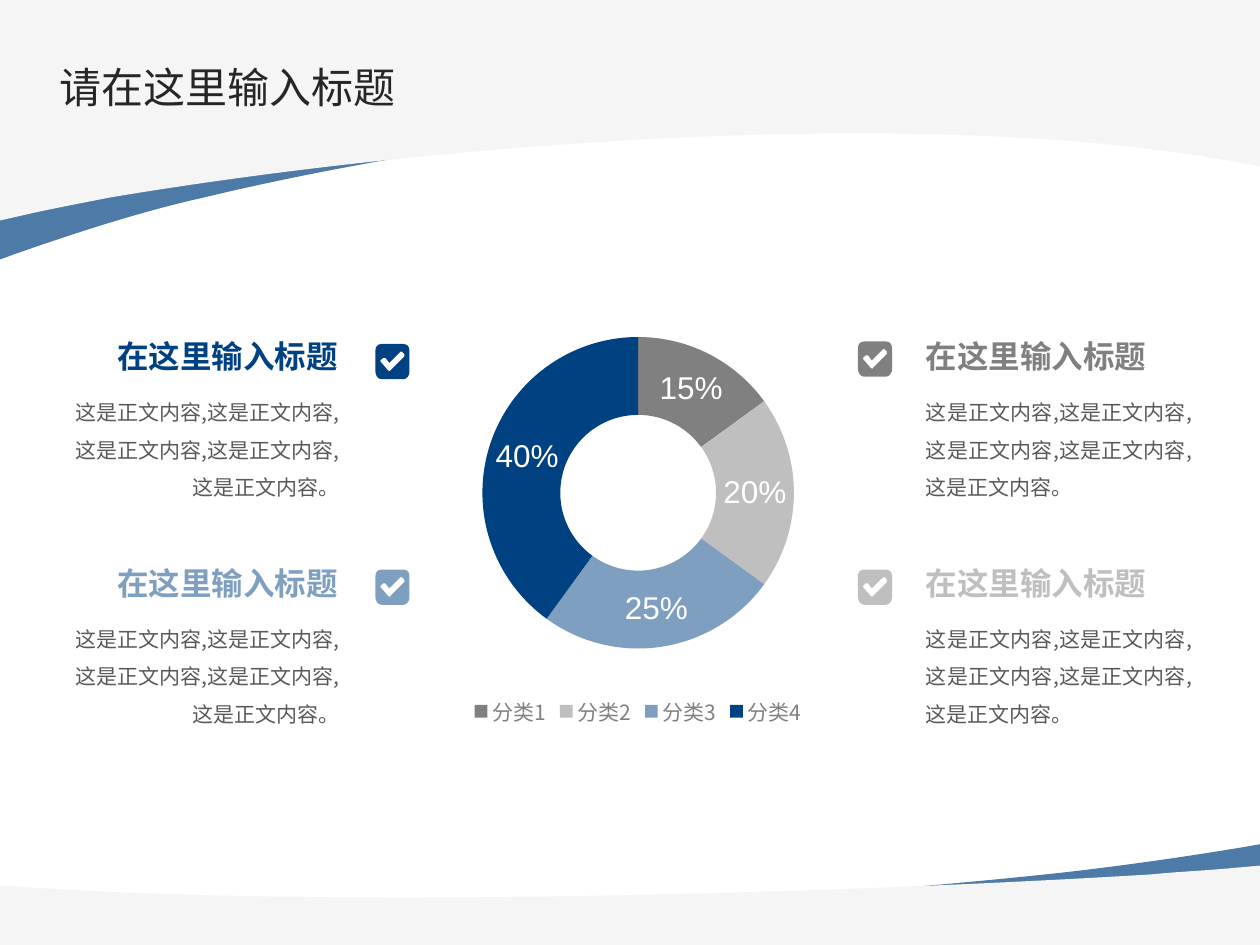
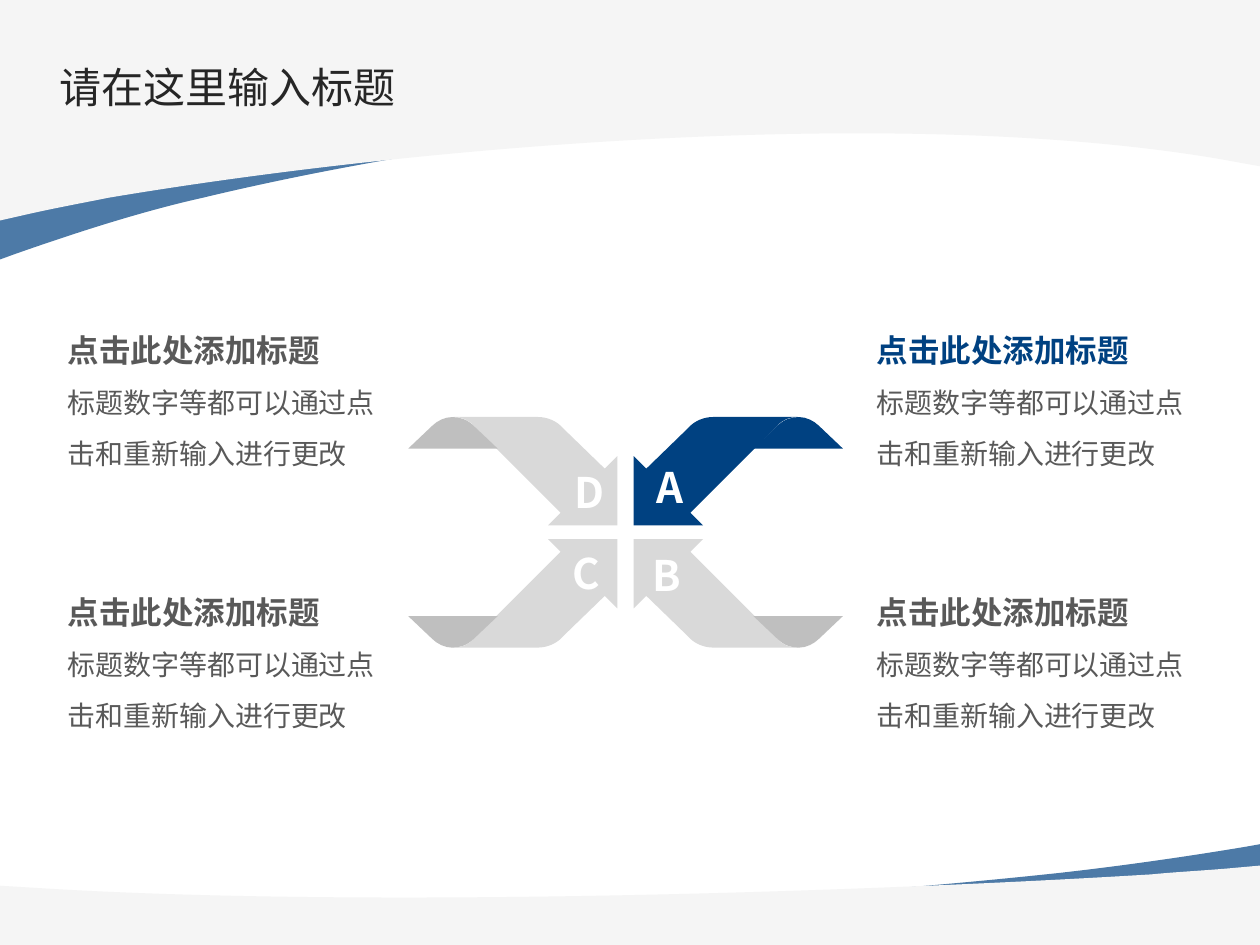
"""Build two slides, a doughnut chart and a set of folded arrows, on one curved-band layout."""
import lxml.etree
import pptx
import pptx.chart.data
import pptx.dml.color
import pptx.enum.chart
import pptx.enum.text
import pptx.oxml.ns
import pptx.util

COLOURS = {
    "navy": "004181", "steel": "7F9FC0", "band blue": "4D7AA7", "band grey": "F5F5F5",
    "grey": "808080", "silver": "BFBFBF", "pale": "D9D9D9",
    "title": "262626", "text": "595959", "white": "FFFFFF",
}
FONT = "Noto Sans CJK SC"
ALIGN = pptx.enum.text.PP_ALIGN
MIDDLE = pptx.enum.text.MSO_ANCHOR.MIDDLE
GROW = pptx.enum.text.MSO_AUTO_SIZE.SHAPE_TO_FIT_TEXT
WIDTH, HEIGHT = 10, 7.5

TITLE = "请在这里输入标题"
TITLE_BOX = (0.39, 0.4, 9, 0.58)

BANDS = [
    ("band blue", [(0, 2.06), (0, 0.66), (10, 0.66), (10, 1.24), (9.99, 1.23),
                   (7.74, 0.53, 3.85, 1.03, 1.61, 1.57), (1.16, 1.67, 0.65, 1.83, 0.11, 2.02)]),
    ("band grey", [(0, 1.75), (0, 0), (10, 0), (10, 1.32), (9.67, 1.26),
                   (7.06, 0.82, 3.17, 1.18, 0.86, 1.57), (0.66, 1.61, 0.44, 1.65, 0.22, 1.7)]),
    ("band blue", [(10, 6.7), (10, 7.35), (0, 7.35), (0, 7.08), (0.01, 7.08),
                   (2.26, 7.41, 6.15, 7.17, 8.39, 6.93), (8.84, 6.88, 9.35, 6.81, 9.89, 6.72)]),
    ("band grey", [(10, 6.87), (10, 7.5), (0, 7.5), (0, 7.03), (0.33, 7.05),
                   (2.94, 7.21, 6.83, 7.08, 9.14, 6.94), (9.34, 6.92, 9.56, 6.91, 9.78, 6.89)]),
]

SHARES = [("分类1", 15, "grey"), ("分类2", 20, "silver"), ("分类3", 25, "steel"), ("分类4", 40, "navy")]
CHART_BOX = (3.48, 2.45, 3.17, 3.36)
PLOT_SHARE = {"x": 0.11, "y": 0.06, "w": 0.78, "h": 0.75}

NOTE_HEADING = "在这里输入标题"
NOTE_BODY = "这是正文内容," * 4 + "这是正文内容。"
NOTE_ROWS = (2.71, 4.51)
NOTE_COLUMNS = [
    {"heading": 0.81, "body": 0.48, "tick": 2.98, "align": ALIGN.RIGHT, "body align": ALIGN.RIGHT,
     "colours": ("navy", "steel"), "drops": (0.02, 0.01)},
    {"heading": 7.25, "body": 7.25, "tick": 6.81, "align": ALIGN.LEFT, "body align": ALIGN.JUSTIFY,
     "colours": ("grey", "silver"), "drops": (0, 0.01)},
]
TICK_FRAME = [(0.27, 0.22), (0.27, 0.25, 0.25, 0.28, 0.22, 0.28), (0.05, 0.28),
              (0.02, 0.28, 0, 0.25, 0, 0.22), (0, 0.05), (0, 0.02, 0.02, 0, 0.05, 0),
              (0.22, 0), (0.25, 0, 0.27, 0.02, 0.27, 0.05)]
TICK_MARK = [(0.23, 0.1), (0.23, 0.1, 0.23, 0.09, 0.23, 0.08), (0.21, 0.06),
             (0.21, 0.06, 0.2, 0.06, 0.2, 0.06), (0.11, 0.15), (0.08, 0.11),
             (0.07, 0.11, 0.07, 0.11, 0.06, 0.11), (0.04, 0.13),
             (0.04, 0.13, 0.04, 0.14, 0.04, 0.14), (0.1, 0.21), (0.11, 0.22, 0.12, 0.22, 0.12, 0.21)]

ARROW_HEADING = "点击此处添加标题"
ARROW_BODY = "标题数字等都可以通过点击和重新输入进行更改"
ARROW_CENTRE_X = {-1: 4.96, 1: 4.97}
ARROW_CENTRE_Y = {-1: 4.23, 1: 4.22}
ARROW = [(1.2, 0.85), (0.51, 0.16), (0.61, 0.06), (0.06, 0.06), (0.06, 0.61), (0.16, 0.51),
         (0.49, 0.83), (0.54, 0.89, 0.62, 0.92, 0.69, 0.92), (1.36, 0.92),
         (1.3, 0.92, 1.24, 0.9, 1.2, 0.85)]
FOLD = [(1.53, 0.85), (1.49, 0.89, 1.43, 0.92, 1.37, 0.92), (1.31, 0.92, 1.25, 0.9, 1.2, 0.85),
        (1.01, 0.67), (1.72, 0.67)]
ARROWS = [
    {"letter": "D", "side": (-1, -1), "at": (4.46, 3.72), "fills": ("pale", "silver"), "heading": "text"},
    {"letter": "C", "side": (-1, 1), "at": (4.44, 4.36), "fills": ("pale", "silver"), "heading": "text"},
    {"letter": "A", "side": (1, -1), "at": (5.1, 3.68), "fills": ("navy", "navy"), "heading": "navy"},
    {"letter": "B", "side": (1, 1), "at": (5.08, 4.38), "fills": ("pale", "silver"), "heading": "text"},
]
ARROW_TEXT_COLUMNS = {-1: (0.44, 2.81), 1: (6.86, 2.67)}
ARROW_TEXT_ROWS = {-1: 2.43, 1: 4.51}


def inches(values):
    return [pptx.util.Inches(value) for value in values]


def rgb(name):
    return pptx.dml.color.RGBColor.from_string(COLOURS[name])


def set_all(target, values):
    for name, value in values.items():
        setattr(target, name, value)


def place_points(part, origin, side):
    """Place the points of a corner (one pair) or a curve (three pairs), mirrored by side."""
    pairs = zip(part[::2], part[1::2])
    return [inches(origin[axis] + side[axis] * pair[axis] for axis in (0, 1)) for pair in pairs]


def bend_curves(shape, parts):
    """Swap the straight segment of each three-point part for a Bézier curve."""
    qn = pptx.oxml.ns.qn
    for segment, points in zip(list(shape.element.iter(qn("a:lnTo"))), parts):
        if len(points) == 3:
            curve = lxml.etree.Element(qn("a:cubicBezTo"))
            for x, y in points:
                lxml.etree.SubElement(curve, qn("a:pt"), x=str(x - shape.left), y=str(y - shape.top))
            segment.getparent().replace(segment, curve)


def draw_outline(page, outlines, colour, origin=(0, 0), side=(1, 1)):
    contours = [[place_points(part, origin, side) for part in outline] for outline in outlines]
    builder = page.shapes.build_freeform(*contours[0][0][-1])
    for index, contour in enumerate(contours):
        if index:
            builder.move_to(*contour[0][-1])
        builder.add_line_segments([points[-1] for points in contour[1:]], close=True)
    shape = builder.convert_to_shape()
    bend_curves(shape, [points for contour in contours for points in contour[1:]])
    shape.shadow.inherit = False
    shape.fill.solid()
    shape.fill.fore_color.rgb = rgb(colour)
    shape.line.fill.background()
    return shape


def write(para, text, size, colour, bold=False, **layout):
    set_all(para, layout)
    span = para.add_run()
    span.text = text
    set_all(span.font, {"size": pptx.util.Pt(size), "bold": bold, "name": FONT})
    span.font.color.rgb = rgb(colour)
    for latin in span.font.color and para.runs[-1]._r.iter(pptx.oxml.ns.qn("a:latin")):
        latin.addnext(lxml.etree.Element(pptx.oxml.ns.qn("a:ea"), typeface=FONT))


def add_text(page, bounds, paragraphs, **frame_format):
    frame = page.shapes.add_textbox(*inches(bounds)).text_frame
    set_all(frame, {"word_wrap": True, **frame_format})
    for index, values in enumerate(paragraphs):
        write(frame.add_paragraph() if index else frame.paragraphs[0], **values)


def prepare_layout(deck):
    """Leave only the placed title on the layout."""
    layout = deck.slide_layouts[5]
    for holder in list(layout.placeholders):
        if holder.placeholder_format.idx:
            holder.element.getparent().remove(holder.element)
        else:
            set_all(holder, dict(zip(("left", "top", "width", "height"), inches(TITLE_BOX))))
    return layout


def add_page(deck, layout):
    page = deck.slides.add_slide(layout)
    frame = page.shapes.title.text_frame
    margin = pptx.util.Inches(0.08)
    set_all(frame, {"margin_left": margin, "margin_top": margin, "margin_right": 0,
                    "margin_bottom": margin, "word_wrap": False, "vertical_anchor": MIDDLE})
    write(frame.paragraphs[0], TITLE, 24, "title", alignment=ALIGN.LEFT)
    return page


def add_shares_chart(page):
    data = pptx.chart.data.CategoryChartData(number_format='0"%"')
    data.categories = [name for name, _, _ in SHARES]
    data.add_series("Series 1", [value for _, value, _ in SHARES])
    kind = pptx.enum.chart.XL_CHART_TYPE.DOUGHNUT
    chart = page.shapes.add_chart(kind, *inches(CHART_BOX), data).chart
    set_all(chart, {"has_title": False, "has_legend": True})
    set_all(chart.font, {"name": "Arial", "size": pptx.util.Pt(18)})
    set_all(chart.legend, {"position": pptx.enum.chart.XL_LEGEND_POSITION.BOTTOM,
                           "include_in_layout": False})
    set_all(chart.legend.font, {"name": FONT, "size": pptx.util.Pt(12)})
    chart.legend.font.color.rgb = rgb("grey")
    plot = chart.plots[0]
    set_all(plot, {"vary_by_categories": True, "has_data_labels": True})
    set_all(plot.data_labels, {"show_value": True, "show_percentage": False,
                               "number_format": '0"%"', "number_format_is_linked": False})
    set_all(plot.data_labels.font, {"name": "Arial", "size": pptx.util.Pt(18), "bold": False})
    plot.data_labels.font.color.rgb = rgb("white")
    for index, (_, _, colour) in enumerate(SHARES):
        fill = plot.series[0].points[index].format.fill
        fill.solid()
        fill.fore_color.rgb = rgb(colour)
    place_plot(chart)


def place_plot(chart):
    qn = pptx.oxml.ns.qn
    area = next(chart.element.iter(qn("c:plotArea")))
    for old in area.findall(qn("c:layout")):
        area.remove(old)
    layout = lxml.etree.Element(qn("c:layout"))
    manual = lxml.etree.SubElement(layout, qn("c:manualLayout"))
    settings = {"layoutTarget": "inner", "xMode": "edge", "yMode": "edge", **PLOT_SHARE}
    for name, value in settings.items():
        lxml.etree.SubElement(manual, qn("c:" + name), val=str(value))
    area.insert(0, layout)


def add_notes_around_chart(page):
    for column in NOTE_COLUMNS:
        for top, colour, drop in zip(NOTE_ROWS, column["colours"], column["drops"]):
            draw_outline(page, [TICK_FRAME, TICK_MARK], colour, (column["tick"], top + drop))
            body = {"text": NOTE_BODY, "size": 12, "colour": "text",
                    "alignment": column["body align"], "line_spacing": 1.5}
            add_text(page, (column["body"], top + 0.31, 2.31, 1.01), [body], auto_size=GROW)
            heading = {"text": NOTE_HEADING, "size": 18, "colour": colour, "bold": True,
                       "alignment": column["align"], "line_spacing": pptx.util.Pt(15)}
            add_text(page, (column["heading"], top, 1.97, 0.32), [heading],
                     word_wrap=False, vertical_anchor=MIDDLE, auto_size=GROW)


def add_arrows(page):
    for arrow in ARROWS:
        across, down = arrow["side"]
        centre = (ARROW_CENTRE_X[across], ARROW_CENTRE_Y[down])
        for outline, colour in zip((ARROW, FOLD), arrow["fills"]):
            draw_outline(page, [outline], colour, centre, arrow["side"])
        letter = {"text": arrow["letter"], "size": 24, "colour": "white", "bold": True,
                  "alignment": ALIGN.CENTER}
        add_text(page, (*arrow["at"], 0.43, 0.37), [letter], vertical_anchor=MIDDLE)
        left, width = ARROW_TEXT_COLUMNS[across]
        add_text(page, (left, ARROW_TEXT_ROWS[down], width, 1.32), [
            {"text": ARROW_HEADING, "size": 18, "colour": arrow["heading"], "bold": True, "line_spacing": 1.5},
            {"text": ARROW_BODY, "size": 16, "colour": "text", "line_spacing": 1.5},
        ], auto_size=GROW)


def main():
    deck = pptx.Presentation()
    set_all(deck, dict(zip(("slide_width", "slide_height"), inches((WIDTH, HEIGHT)))))
    layout = prepare_layout(deck)
    chart_page = add_page(deck, layout)
    for colour, outline in BANDS:
        layout.shapes.element.append(draw_outline(chart_page, [outline], colour).element)
    add_shares_chart(chart_page)
    add_notes_around_chart(chart_page)
    add_arrows(add_page(deck, layout))
    deck.save("out.pptx")


if __name__ == "__main__":
    main()
